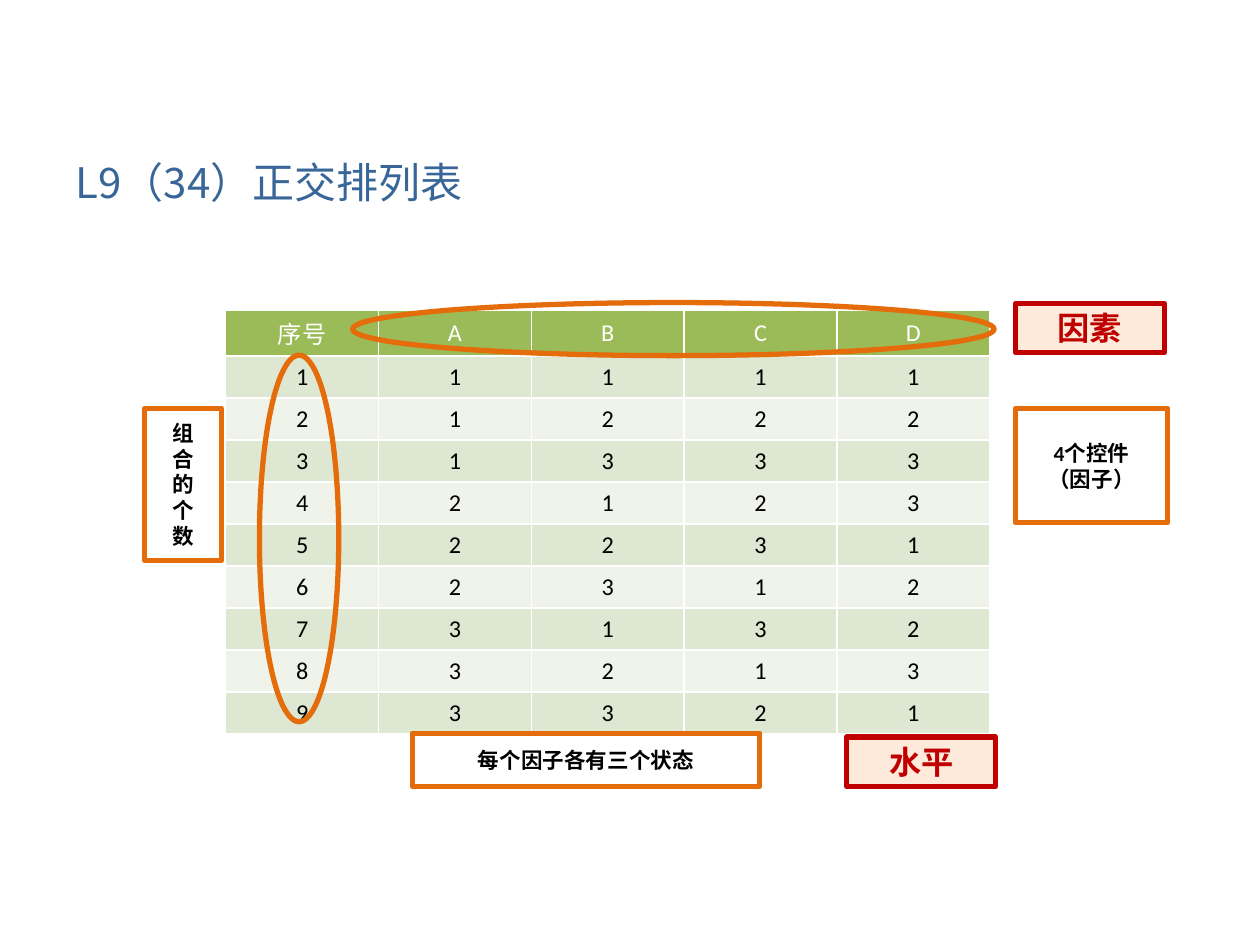
from dataclasses import dataclass
from typing import Optional

from lxml import etree
from pptx import Presentation
from pptx import util as u
from pptx.dml.color import RGBColor
from pptx.enum import shapes, text
from pptx.oxml import ns


@dataclass(frozen=True)
class Theme:
    latin: str = "Calibri"
    cjk: str = "Noto Sans CJK SC"
    title: str = "386698"
    header: str = "9BBB59"
    bands: tuple = ("DEE7D1", "EFF3EA")
    white: str = "FFFFFF"
    black: str = "000000"
    orange: str = "E46C0A"
    red: str = "C00000"
    peach: str = "FDEADA"
    title_size: float = 24
    table_size: float = 13.8
    note_size: float = 12.3
    tag_size: float = 18.4
    line_width: float = 3


T = Theme()
CENTER = text.PP_ALIGN.CENTER
RECT = shapes.MSO_SHAPE.RECTANGLE
OVAL = shapes.MSO_SHAPE.OVAL


@dataclass(frozen=True)
class Box:
    left: float
    top: float
    width: float
    height: float
    lines: tuple = ()
    kind: shapes.MSO_SHAPE = RECT
    line: str = T.orange
    fill: Optional[str] = None
    color: str = T.black
    size: float = T.note_size


@dataclass(frozen=True)
class Tag(Box):
    line: str = T.red
    fill: Optional[str] = T.peach
    color: str = T.red
    size: float = T.tag_size


BOXES = [
    Box(7.11, 6.1, 12.93, 1.07, kind=OVAL),
    Box(5.23, 7.16, 1.6, 7.39, kind=OVAL),
    Box(2.92, 8.23, 1.55, 3.07, tuple("组合的个数")),
    Box(20.47, 8.23, 3.07, 2.31, ("4个控件", "（因子）")),
    Box(8.31, 14.78, 7.01, 1.07, ("每个因子各有三个状态",)),
    Tag(20.47, 6.12, 3, 0.99, ("因素",)),
    Tag(17.07, 14.86, 3, 0.99, ("水平",)),
]


def rgb(value: str) -> RGBColor:
    return RGBColor.from_string(value)


def write(p, content: str, *, size: float, color: str, align=CENTER,
          bold: bool = False, latin: str = T.latin, cjk: str = T.cjk) -> None:
    p.alignment = align
    r = p.add_run()
    r.text = content
    r.font.size = u.Pt(size)
    r.font.bold = bold
    r.font.name = latin
    r.font.color.rgb = rgb(color)
    ea = etree.SubElement(r.font._element, ns.qn("a:ea"))
    ea.set("typeface", cjk)


def add_title(slide, content: str) -> None:
    sp = slide.shapes.title
    sp.left, sp.top, sp.width, sp.height = map(u.Cm, (1.27, 3.15, 11.15, 1.52))
    tf = sp.text_frame
    tf.auto_size = text.MSO_AUTO_SIZE.NONE
    tf.vertical_anchor = text.MSO_ANCHOR.TOP
    p = tf.paragraphs[0]
    p.line_spacing = 0.9
    write(p, content, size=T.title_size, color=T.title,
          align=text.PP_ALIGN.LEFT, latin=T.cjk)


def orthogonal_rows() -> list[list[int]]:
    return [[3 * a + b + 1, a + 1, b + 1, (a + b) % 3 + 1, (2 * a + b) % 3 + 1]
            for a in range(3) for b in range(3)]


def add_array_table(slide) -> None:
    rows = [["序号", *"ABCD"], *orthogonal_rows()]
    frame = slide.shapes.add_table(len(rows), len(rows[0]), u.Cm(4.55),
                                   u.Cm(6.25), u.Cm(15.4), u.Cm(8.47))
    table = frame.table
    for i, row in enumerate(rows):
        fill = T.bands[(i - 1) % 2] if i else T.header
        for j, value in enumerate(row):
            cell = table.cell(i, j)
            cell.fill.solid()
            cell.fill.fore_color.rgb = rgb(fill)
            cell.vertical_anchor = text.MSO_ANCHOR.MIDDLE
            cell.margin_top = cell.margin_bottom = u.Cm(0.11)
            write(cell.text_frame.paragraphs[0], str(value),
                  size=T.table_size, color=T.black if i else T.white)


def add_box(slide, box: Box) -> None:
    sp = slide.shapes.add_shape(
        box.kind, *map(u.Cm, (box.left, box.top, box.width, box.height)))
    sp.shadow.inherit = False
    sp.line.color.rgb = rgb(box.line)
    sp.line.width = u.Pt(T.line_width)
    if box.fill:
        sp.fill.solid()
        sp.fill.fore_color.rgb = rgb(box.fill)
    else:
        sp.fill.background()
    tf = sp.text_frame
    tf.word_wrap = True
    tf.vertical_anchor = text.MSO_ANCHOR.MIDDLE
    for i, line in enumerate(box.lines):
        p = tf.add_paragraph() if i else tf.paragraphs[0]
        write(p, line, size=box.size, color=box.color, bold=True, cjk=T.latin)


def main() -> None:
    prs = Presentation()
    prs.slide_width, prs.slide_height = u.Cm(25.4), u.Cm(19.05)
    s = prs.slides.add_slide(prs.slide_layouts.get_by_name("Title Only"))
    add_array_table(s)
    for box in BOXES:
        add_box(s, box)
    add_title(s, "L9（34）正交排列表")
    prs.save("out.pptx")


if __name__ == "__main__":
    main()
